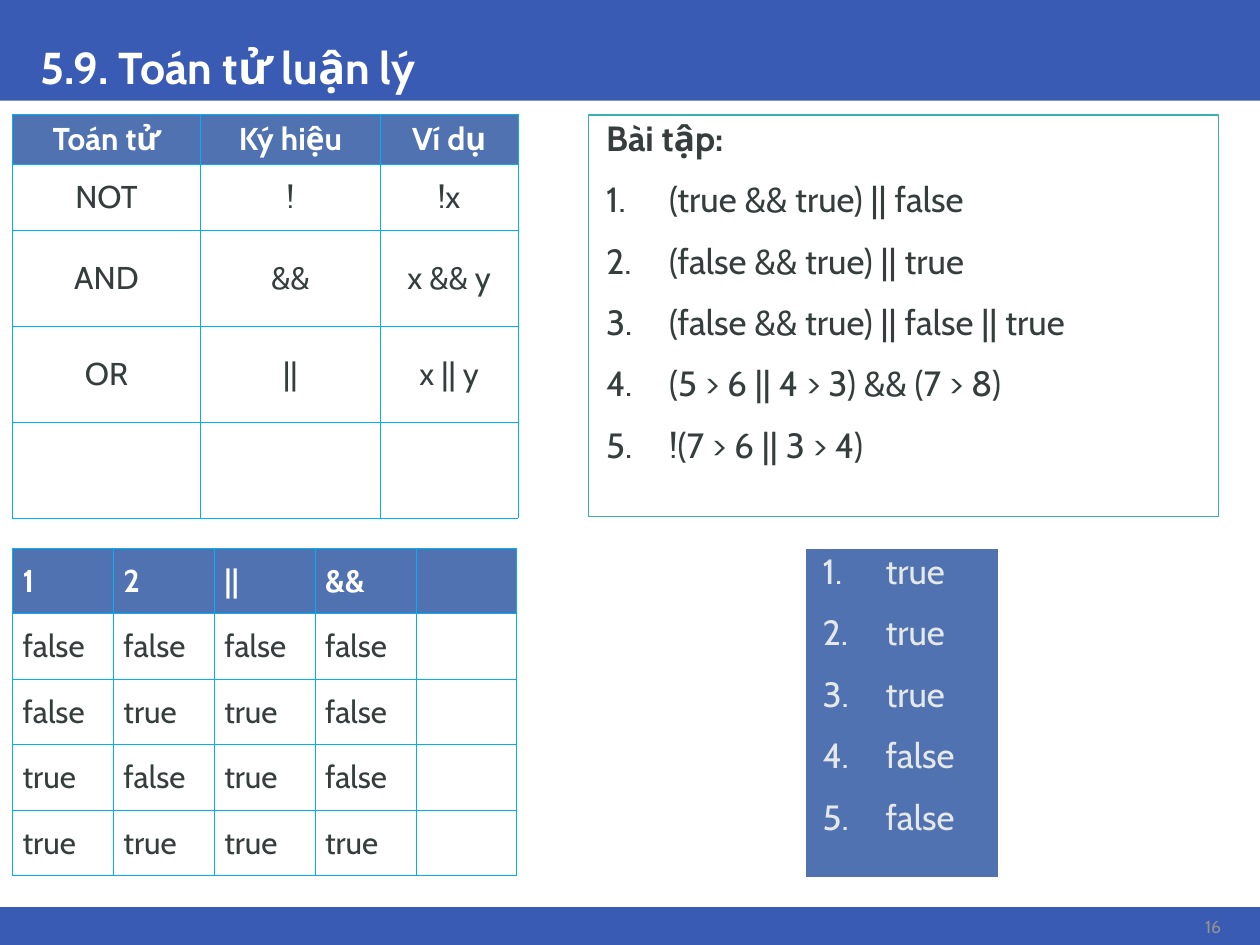
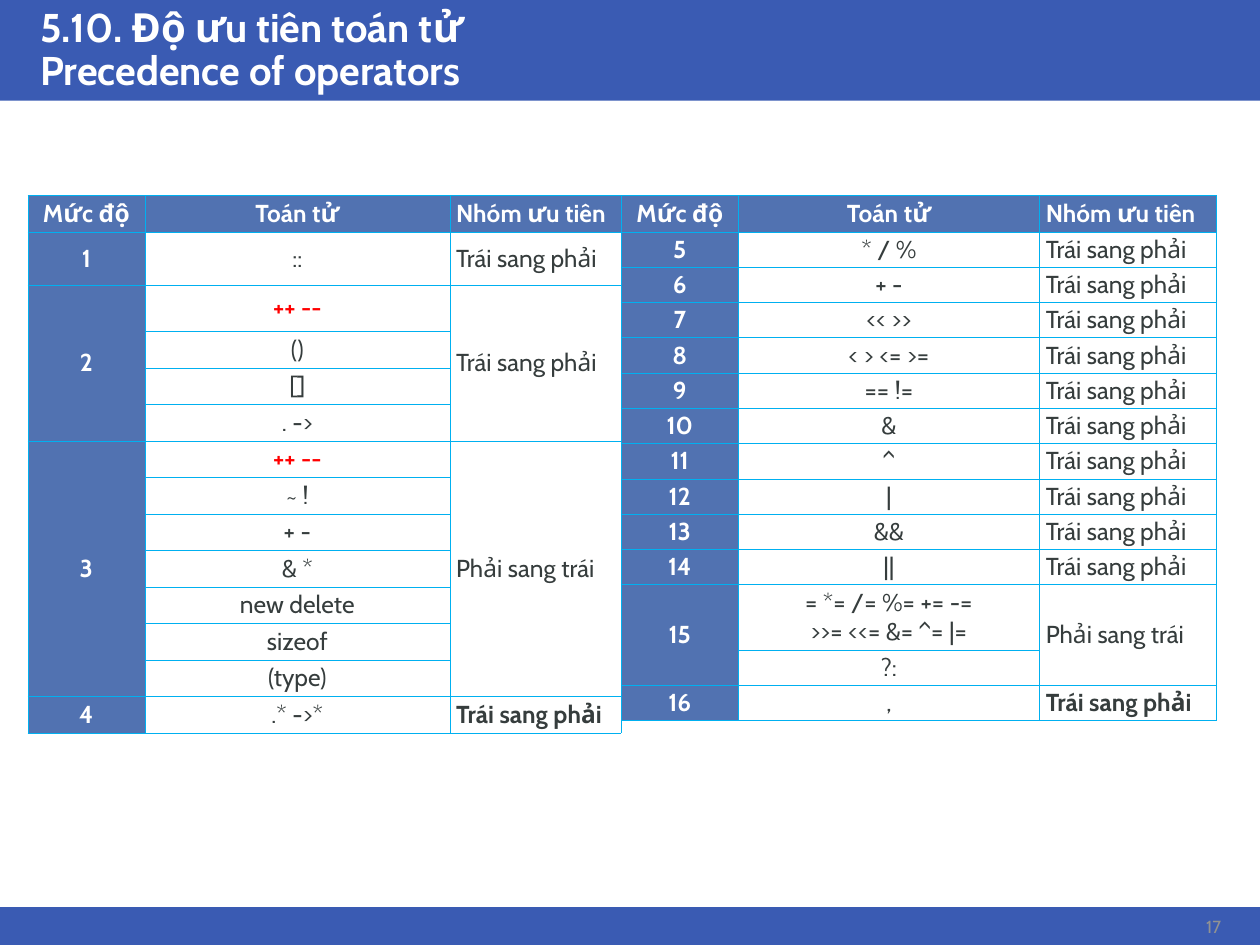
from copy import deepcopy

from lxml.etree import SubElement
from pptx import Presentation
from pptx.dml.color import RGBColor
from pptx.enum.shapes import MSO_SHAPE
from pptx.enum.text import MSO_ANCHOR, MSO_AUTO_SIZE, PP_ALIGN
from pptx.oxml.ns import qn
from pptx.util import Inches, Pt

FONT = "Cabin"
COLORS = {
    "band": "3A5BB3", "head": "5172B1", "white": "FFFFFF", "text": "363D3D",
    "grid": "00B0F0", "frame": "3AAFB2", "number": "919292",
    "answer": "E5E8E8", "red": "FF0000",
}
RGB = {name: RGBColor.from_string(value) for name, value in COLORS.items()}
LEFT, CENTER, RIGHT = PP_ALIGN.LEFT, PP_ALIGN.CENTER, PP_ALIGN.RIGHT


def put(tf, text, size=20, color="text", bold=False, align=LEFT,
        spacing=None, before=None, margin=None, numbered=False, new=False):
    p = tf.add_paragraph() if new else tf.paragraphs[0]
    p.text = text
    p.alignment = align
    if spacing:
        p.line_spacing = spacing
    if before is not None:
        p.space_before = Pt(before)
    for r in p.runs:
        r.font.name = FONT
        r.font.size = Pt(size)
        r.font.bold = bold
        r.font.color.rgb = RGB[color]
    for br in p._p.findall(qn("a:br")):
        br.insert(0, deepcopy(p.runs[0]._r.rPr))
    if margin is not None:
        pPr = p._p.get_or_add_pPr()
        pPr.set("marL", str(Inches(margin)))
        pPr.set("indent", str(Inches(-0.5 if numbered else 0)))
        if numbered:
            SubElement(pPr, qn("a:buFont"), typeface=FONT)
            SubElement(pPr, qn("a:buAutoNum"), type="arabicPeriod")
        else:
            SubElement(pPr, qn("a:buNone"))


def add_grid(s, rows, left, top, widths, heights, aligns, size=18,
             pad=(0.08, 0.04), levels=False):
    frame = s.shapes.add_table(len(rows), len(widths), Inches(left), Inches(top),
                               Inches(sum(widths)), Inches(sum(heights)))
    table = frame.table
    table.horz_banding = False
    for col, width in zip(table.columns, widths):
        col.width = Inches(width)
    for row, height in zip(table.rows, heights):
        row.height = Inches(height)
    for i, row in enumerate(rows):
        for j, text in enumerate(row):
            cell = table.cell(i, j)
            cell.margin_left = cell.margin_right = Inches(pad[0])
            cell.margin_top = cell.margin_bottom = Inches(pad[1])
            cell.vertical_anchor = MSO_ANCHOR.MIDDLE
            tcPr = cell._tc.get_or_add_tcPr()
            for side in ("a:lnL", "a:lnR", "a:lnT", "a:lnB"):
                ln = SubElement(tcPr, qn(side), w=str(Pt(0.25)))
                fill = SubElement(ln, qn("a:solidFill"))
                SubElement(fill, qn("a:srgbClr"), val=COLORS["grid"])
            dark = i == 0 or (levels and j == 0)
            cell.fill.solid()
            cell.fill.fore_color.rgb = RGB["head" if dark else "white"]
            red = text == "++ --"
            closing = levels and i == len(rows) - 1 and j == 2
            color = "white" if dark else "red" if red else "text"
            put(cell.text_frame, text, size=size, color=color,
                bold=dark or red or closing, align=aligns[j])
    return table


prs = Presentation()
prs.slide_width, prs.slide_height = Inches(10), Inches(7.5)
titles = [(1, "5.9. Toán tử luận lý", 25.5, "16"),
          (5, "5.10. Độ ưu tiên toán tử\nPrecedence of operators", 22.9, "17")]
for layout, title, size, number in titles:
    s = prs.slides.add_slide(prs.slide_layouts[layout])
    sp = s.shapes.title
    sp.left, sp.top, sp.width, sp.height = map(Inches, (0.22, 0, 9.57, 0.8))
    tf = sp.text_frame
    tf.auto_size = MSO_AUTO_SIZE.NONE
    tf.vertical_anchor = MSO_ANCHOR.BOTTOM
    put(tf, title, size=size, color="white", bold=True, spacing=0.9)
    tf = s.shapes.add_textbox(*map(Inches, (9.26, 7.22, 0.53, 0.26))).text_frame
    tf.word_wrap = True
    tf.vertical_anchor = MSO_ANCHOR.MIDDLE
    put(tf, number, size=10, color="number", align=RIGHT)

logic, precedence = prs.slides
for top, height in ((0, 0.8), (7.2, 0.3)):
    band = logic.shapes.add_shape(MSO_SHAPE.RECTANGLE, 0, Inches(top),
                                  prs.slide_width, Inches(height))
    band.shadow.inherit = False
    band.fill.solid()
    band.fill.fore_color.rgb = RGB["band"]
    band.line.fill.background()
    prs.slide_master.shapes.element.insert(2, band.element)

exercises = logic.placeholders[1]
answers = logic.shapes.add_shape(MSO_SHAPE.RECTANGLE, 0, 0, 0, 0)
answers.shadow.inherit = False
boxes = [(exercises, (4.67, 0.91, 5, 3.19), "white", "frame", 1),
         (answers, (6.39, 4.35, 1.54, 2.62), "head", "white", 1.5)]
for sp, box, fill, line, width in boxes:
    sp.left, sp.top, sp.width, sp.height = map(Inches, box)
    sp.fill.solid()
    sp.fill.fore_color.rgb = RGB[fill]
    sp.line.color.rgb = RGB[line]
    sp.line.width = Pt(width)
    sp.text_frame.auto_size = MSO_AUTO_SIZE.NONE
    sp.text_frame.vertical_anchor = MSO_ANCHOR.TOP

put(exercises.text_frame, "Bài tập:", bold=True, spacing=0.9, before=13.5, margin=0.04)
for text in ("(true && true) || false", "(false && true) || true",
             "(false && true) || false || true", "(5 > 6 || 4 > 3) && (7 > 8)",
             "!(7 > 6 || 3 > 4)"):
    put(exercises.text_frame, text, spacing=0.9, before=13.5, margin=0.54,
        numbered=True, new=True)
for i, text in enumerate(("true", "true", "true", "false", "false")):
    put(answers.text_frame, text, color="answer", spacing=0.9, before=13.5,
        margin=0.54, numbered=True, new=i > 0)

operators = [("Toán tử", "Ký hiệu", "Ví dụ"), ("NOT", "!", "!x"),
             ("AND", "&&", "x && y"), ("OR", "||", "x || y"), ("", "", "")]
add_grid(logic, operators, 0.1, 0.91, (1.49, 1.43, 1.09),
         (0.39, 0.53, 0.76, 0.76, 0.76), [CENTER] * 3)

truth = [("1", "2", "||", "&&", ""),
         ("false", "false", "false", "false", ""),
         ("false", "true", "true", "false", ""),
         ("true", "false", "true", "false", ""),
         ("true", "true", "true", "true", "")]
add_grid(logic, truth, 0.1, 4.35, [0.8] * 5, [0.52] * 5, [LEFT] * 5)

LTR, RTL = "Trái sang phải", "Phải sang trái"
first = [(["::"], LTR), (["++ --", "()", "[]", ". ->"], LTR),
         (["++ --", "~ !", "+ -", "& *", "new delete", "sizeof", "(type)"], RTL),
         ([".* ->*"], LTR)]
second = [([op], LTR) for op in ("* / %", "+ -", "<< >>", "< > <= >=", "== !=",
                                 "&", "^", "|", "&&", "||")]
second += [(["= *= /= %= += -=\n>>= <<= &= ^= |=", "?:"], RTL), ([","], LTR)]
halves = [(first, 1, 0.22, (0.93, 2.42, 1.36), [0.29, 0.42, 0.37] + [0.29] * 11),
          (second, 5, 4.93, (0.93, 2.39, 1.4), [0.29] + [0.28] * 10 + [0.52, 0.28, 0.28])]
for groups, start, left, widths, heights in halves:
    rows = [("Mức độ", "Toán tử", "Nhóm ưu tiên")]
    spans = []
    for level, (ops, direction) in enumerate(groups, start):
        spans.append((len(rows), len(rows) + len(ops) - 1))
        rows.append((str(level), ops[0], direction))
        rows += [("", op, "") for op in ops[1:]]
    table = add_grid(precedence, rows, left, 1.55, widths, heights,
                     (CENTER, CENTER, LEFT), size=14, pad=(0.05, 0.02), levels=True)
    for top, bottom in spans:
        if bottom > top:
            for col in (0, 2):
                table.cell(top, col).merge(table.cell(bottom, col))

prs.save("out.pptx")
